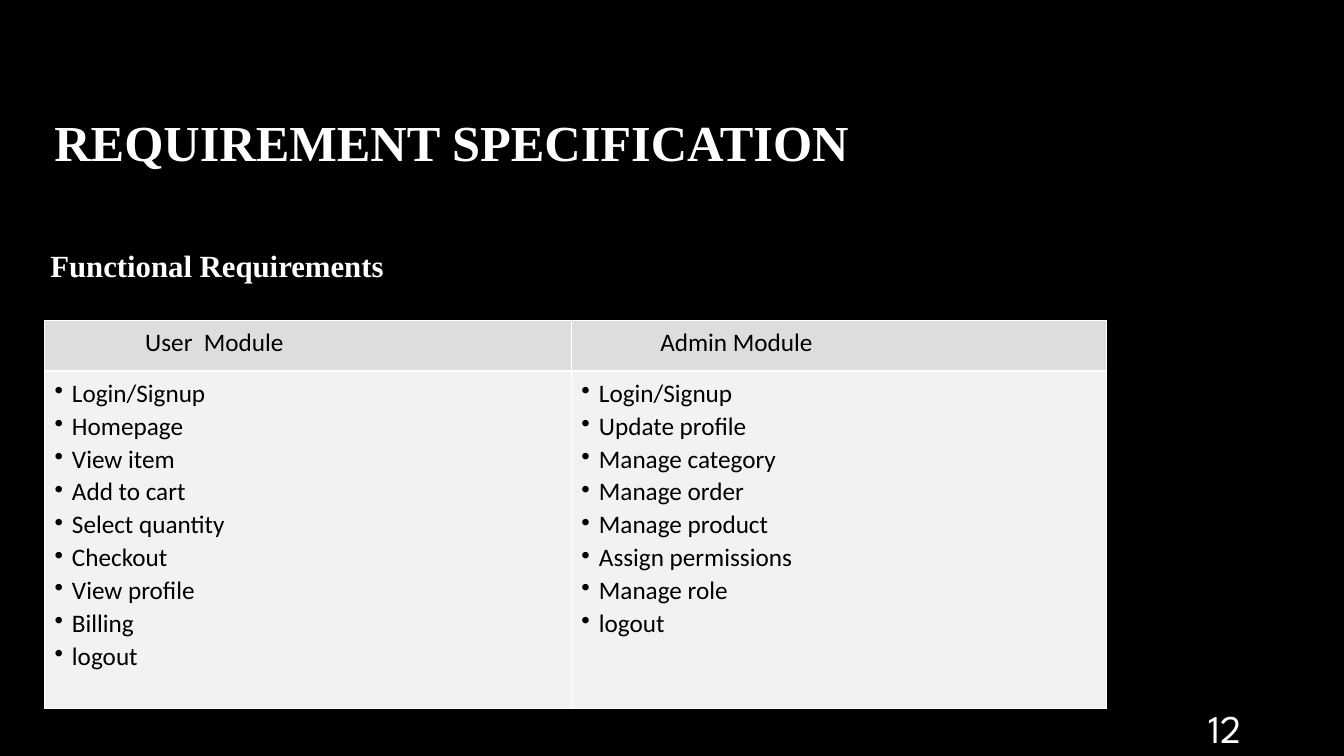
from dataclasses import dataclass

from lxml import etree
from pptx import Presentation
from pptx.dml.color import RGBColor
from pptx.enum.text import MSO_ANCHOR, PP_ALIGN
from pptx.oxml.ns import qn
from pptx.util import Cm, Pt

TOP, MIDDLE = MSO_ANCHOR.TOP, MSO_ANCHOR.MIDDLE
LEFT, CENTER = PP_ALIGN.LEFT, PP_ALIGN.CENTER


@dataclass(frozen=True)
class Theme:
    background: str = "000000"
    light: str = "FFFFFF"
    dark: str = "000000"
    header_fill: str = "DDDDDD"
    body_fill: str = "F2F2F2"
    title_size: int = 36
    subtitle_size: int = 22
    table_size: int = 18
    number_size: int = 28
    border_width: int = 1
    heading_font: str = "Times New Roman"
    table_font: str = "Calibri"
    number_font: str = "League Spartan"


theme = Theme()


def style_paragraph(para, font, size, color, spacing, bold=False):
    para.line_spacing = spacing
    for span in para.runs:
        span.font.name = font
        span.font.size = Pt(size)
        span.font.bold = bold
        span.font.color.rgb = RGBColor.from_string(color)


def add_text(page, place, text, font, size, bold, spacing, anchor, align):
    """Add a one-line text box; place is left, top, width, height in cm."""
    box = page.shapes.add_textbox(*map(Cm, place))
    frame = box.text_frame
    frame.word_wrap = True
    frame.vertical_anchor = anchor
    frame.text = text
    para = frame.paragraphs[0]
    para.alignment = align
    style_paragraph(para, font, size, theme.light, spacing, bold)
    return frame


deck = Presentation()
deck.slide_width, deck.slide_height = Cm(33.87), Cm(19.05)
page = deck.slides.add_slide(deck.slide_layouts[6])
page.background.fill.solid()
page.background.fill.fore_color.rgb = RGBColor.from_string(theme.background)

# Headings and slide number
add_text(page, (1.12, 2.67, 22.48, 2), "REQUIREMENT SPECIFICATION",
         theme.heading_font, theme.title_size, True, 0.85, MIDDLE, LEFT)
add_text(page, (1.02, 6.2, 15.54, 1.45), "Functional Requirements",
         theme.heading_font, theme.subtitle_size, True, 0.9, TOP, LEFT)
number = add_text(page, (29.62, 17.83, 2.62, 1.02), "12",
                  theme.number_font, theme.number_size, False, 1.0, MIDDLE, CENTER)
number.margin_left = Cm(0.13)

# Modules: heading, left margin of the heading, column width, features
modules = [
    ("User  Module", 2.54, 13.28,
     ["Login/Signup", "Homepage", "View item", "Add to cart", "Select quantity",
      "Checkout", "View profile", "Billing", "logout"]),
    ("Admin Module", 2.24, 13.49,
     ["Login/Signup", "Update profile", "Manage category", "Manage order",
      "Manage product", "Assign permissions", "Manage role", "logout"]),
]
table = page.shapes.add_table(2, 2, Cm(1.12), Cm(8.08), Cm(26.77), Cm(9.78)).table
table.first_row = table.horz_banding = False
table.rows[0].height, table.rows[1].height = Cm(1.27), Cm(8.51)

for column, (heading, heading_margin, width, features) in enumerate(modules):
    table.columns[column].width = Cm(width)
    header, body = table.cell(0, column), table.cell(1, column)
    header.text = heading
    header.margin_left = Cm(heading_margin)
    body.text = "\n".join(features)

    for cell, fill in ((header, theme.header_fill), (body, theme.body_fill)):
        cell.fill.solid()
        cell.fill.fore_color.rgb = RGBColor.from_string(fill)
        for para in cell.text_frame.paragraphs:
            style_paragraph(para, theme.table_font, theme.table_size, theme.dark, 1.07)
        properties = cell._tc.get_or_add_tcPr()
        for position, side in enumerate(("a:lnL", "a:lnR", "a:lnT", "a:lnB")):
            line = etree.Element(qn(side), w=str(Pt(theme.border_width)))
            solid = etree.SubElement(line, qn("a:solidFill"))
            etree.SubElement(solid, qn("a:srgbClr"), val=theme.light)
            properties.insert(position, line)

    for para in body.text_frame.paragraphs:
        properties = para._p.get_or_add_pPr()
        properties.set("marL", str(Cm(0.44)))
        properties.set("indent", str(-Cm(0.44)))
        etree.SubElement(properties, qn("a:buChar"), char="•")

deck.save("out.pptx")
